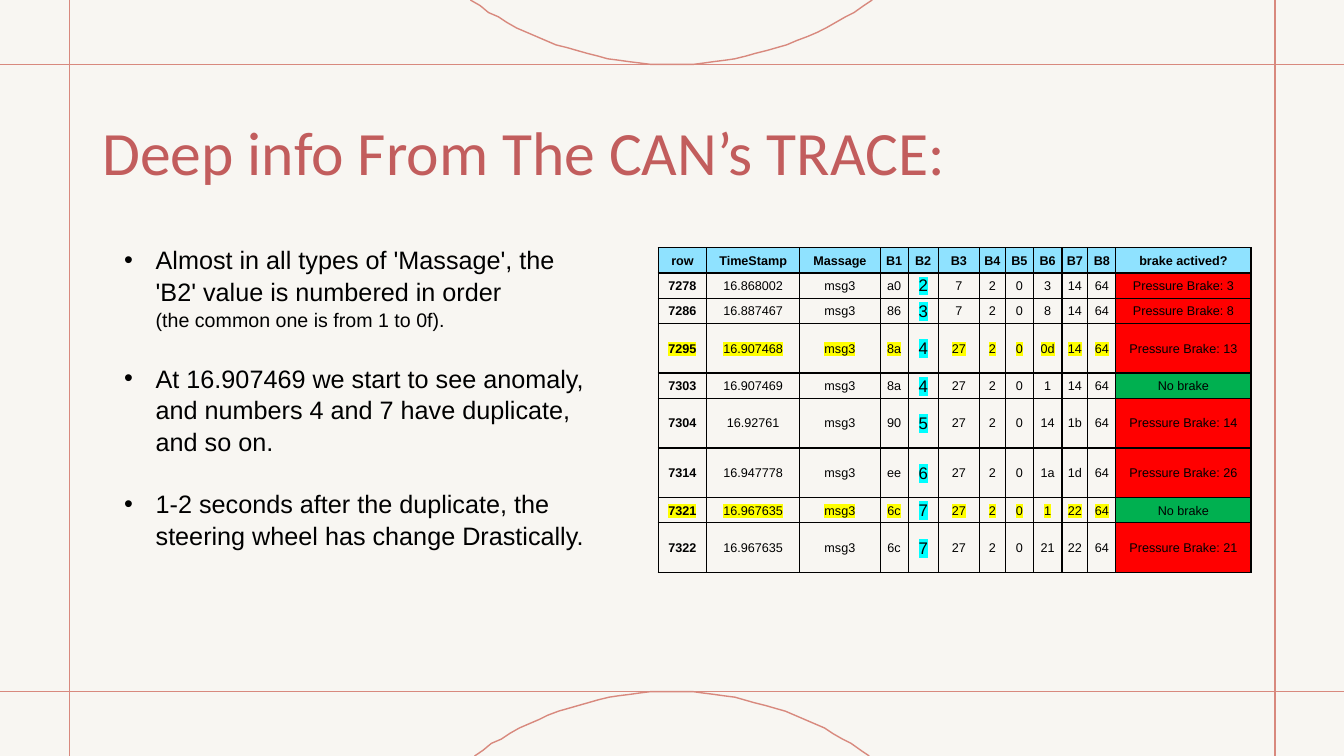
from math import asin, cos, sin

from lxml.etree import SubElement
from pptx import Presentation
from pptx.dml.color import RGBColor
from pptx.enum.text import MSO_ANCHOR, MSO_AUTO_SIZE, PP_ALIGN
from pptx.oxml import parse_xml
from pptx.oxml.ns import nsdecls, qn
from pptx.util import Pt

# Content
TITLE = "Deep info From The CAN’s TRACE:"
BULLETS = [  # each bullet: lines of (text, size)
    [("Almost in all types of 'Massage', the 'B2' value is numbered in order ", 18),
     ("(the common one is from 1 to 0f).", 14)],
    [("At 16.907469 we start to see anomaly, and numbers 4 and 7 have duplicate,", 18),
     ("and so on.", 18)],
    [("1-2 seconds after the duplicate, the steering wheel has change Drastically.", 18)],
]
HEADER = ["row", "TimeStamp", "Massage", "B1", "B2", "B3", "B4", "B5", "B6", "B7", "B8",
          "brake actived?"]
TRACE = [
    ["7278", "16.868002", "msg3", "a0", "2", "7", "2", "0", "3", "14", "64", "Pressure Brake: 3"],
    ["7286", "16.887467", "msg3", "86", "3", "7", "2", "0", "8", "14", "64", "Pressure Brake: 8"],
    ["7295", "16.907468", "msg3", "8a", "4", "27", "2", "0", "0d", "14", "64", "Pressure Brake: 13"],
    ["7303", "16.907469", "msg3", "8a", "4", "27", "2", "0", "1", "14", "64", "No brake"],
    ["7304", "16.92761", "msg3", "90", "5", "27", "2", "0", "14", "1b", "64", "Pressure Brake: 14"],
    ["7314", "16.947778", "msg3", "ee", "6", "27", "2", "0", "1a", "1d", "64", "Pressure Brake: 26"],
    ["7321", "16.967635", "msg3", "6c", "7", "27", "2", "0", "1", "22", "64", "No brake"],
    ["7322", "16.967635", "msg3", "6c", "7", "27", "2", "0", "21", "22", "64", "Pressure Brake: 21"],
]
MARKED_ROWS = {"7295", "7321"}
COUNTER = HEADER.index("B2")
BRAKE = len(HEADER) - 1
COLUMN_WIDTHS = [34.5, 66.5, 57.5, 20, 21.5, 29.5, 18.5, 20, 20.5, 18.5, 20, 96.5]
ROW_HEIGHTS = [18, 18, 18, 35.5, 18, 35.5, 35.5, 18, 35.5]

COLORS = {"paper": "F8F6F2", "frame": "D8897E", "title": "C25D5D", "ink": "000000",
          "header": "8FE2FF", "brake": "FF0000", "no brake": "00B050",
          "counter": "00FFFF", "marked": "FFFF00"}
WIDTH, HEIGHT = 960, 540
LEFT, RIGHT, TOP, BOTTOM = 49.7, 910.8, 46, 494


def color(name):
    return RGBColor.from_string(COLORS[name])


def style(font, name, size, ink, bold=False):
    font.name, font.size, font.bold = name, Pt(size), bold
    font.color.rgb = color(ink)


def place(shape, left, top, width, height):
    shape.left, shape.top, shape.width, shape.height = map(Pt, (left, top, width, height))


def draw_line(x1, y1, x2, y2):
    line = page.shapes.add_connector(1, Pt(x1), Pt(y1), Pt(x2), Pt(y2))
    line.line.color.rgb = color("frame")
    line.line.width = Pt(1)
    SubElement(line._element.spPr, qn("a:effectLst"))


def draw_arc(touch, edge, half_width, center=479.8, steps=40):
    """Arc that touches one frame line and ends at the page edge."""
    depth = abs(edge - touch)
    radius = (half_width ** 2 + depth ** 2) / (2 * depth)
    direction = 1 if edge > touch else -1
    limit = asin(half_width / radius)
    angles = [limit * (2 * step / steps - 1) for step in range(steps + 1)]
    points = [(center + radius * sin(angle), touch + direction * radius * (1 - cos(angle)))
              for angle in angles]
    builder = page.shapes.build_freeform(*points[0], scale=Pt(1))
    builder.add_line_segments(points[1:], close=False)
    arc = builder.convert_to_shape()
    arc.shadow.inherit = False
    arc.fill.background()
    arc.line.color.rgb = color("frame")
    arc.line.width = Pt(1)


def add_borders(cell):
    for index, side in enumerate(("lnL", "lnR", "lnT", "lnB")):
        border = parse_xml(f'<a:{side} {nsdecls("a")} w="12700"><a:solidFill>'
                           f'<a:srgbClr val="{COLORS["ink"]}"/></a:solidFill></a:{side}>')
        cell._tc.get_or_add_tcPr().insert(index, border)


def highlight(span, name):
    mark = SubElement(span._r.get_or_add_rPr(), qn("a:highlight"))
    SubElement(mark, qn("a:srgbClr")).set("val", COLORS[name])


deck = Presentation()
deck.slide_width, deck.slide_height = Pt(WIDTH), Pt(HEIGHT)
page = deck.slides.add_slide(deck.slide_layouts[1])
page.background.fill.solid()
page.background.fill.fore_color.rgb = color("paper")

# Frame lines and arcs
for y in (BOTTOM, TOP):
    draw_line(0, y, WIDTH, y)
for x in (RIGHT, LEFT):
    draw_line(x, HEIGHT, x, 0)
draw_arc(TOP, 0, 143.3)
draw_arc(BOTTOM, HEIGHT, 141)

# Title
title = page.shapes.title
place(title, 66, 55.5, 828, 104.5)
title.text_frame.text = TITLE
title.text_frame.auto_size = MSO_AUTO_SIZE.NONE
title.text_frame.vertical_anchor = MSO_ANCHOR.MIDDLE
title.text_frame.paragraphs[0].alignment = PP_ALIGN.LEFT
style(title.text_frame.paragraphs[0].font, "Calibri", 44, "title")

# Bullets
body = page.placeholders[1]
place(body, 81.5, 170, 347, 242.5)
body.text_frame.auto_size = MSO_AUTO_SIZE.NONE
for number, lines in enumerate(BULLETS):
    para = body.text_frame.add_paragraph() if number else body.text_frame.paragraphs[0]
    para.space_before = Pt(21.6 if number else 0)
    para.line_spacing = 1.05
    style(para.font, "Arial", 18, "ink")
    properties = para._p.get_or_add_pPr()
    properties.set("marL", str(Pt(22.5)))
    properties.set("indent", str(-Pt(22.5)))
    for index, (text, size) in enumerate(lines):
        if index:
            para.add_line_break()
        span = para.add_run()
        span.text = text
        span.font.size = Pt(size)

# Trace table
rows = [HEADER] + TRACE
table = page.shapes.add_table(len(rows), len(HEADER), Pt(470.2), Pt(177), Pt(sum(COLUMN_WIDTHS)),
                              Pt(sum(ROW_HEIGHTS))).table
table.horz_banding = False
for column, width in zip(table.columns, COLUMN_WIDTHS):
    column.width = Pt(width)
for row, height in zip(table.rows, ROW_HEIGHTS):
    row.height = Pt(height)
for r, values in enumerate(rows):
    for c, value in enumerate(values):
        cell = table.cell(r, c)
        cell.margin_left = cell.margin_right = cell.margin_top = Pt(0.7)
        cell.margin_bottom = 0
        cell.vertical_anchor = MSO_ANCHOR.MIDDLE
        if r == 0 or c == BRAKE:
            fill = "header" if r == 0 else "no brake" if value == "No brake" else "brake"
            cell.fill.solid()
            cell.fill.fore_color.rgb = color(fill)
        else:
            cell.fill.background()
        add_borders(cell)
        para = cell.text_frame.paragraphs[0]
        para.alignment = PP_ALIGN.CENTER
        counter = r > 0 and c == COUNTER
        style(para.font, "Arial", 12 if counter else 9, "ink", r == 0 or c == 0)
        span = para.add_run()
        span.text = value
        if counter:
            highlight(span, "counter")
        elif values[0] in MARKED_ROWS and c != BRAKE:
            highlight(span, "marked")

deck.save("out.pptx")
